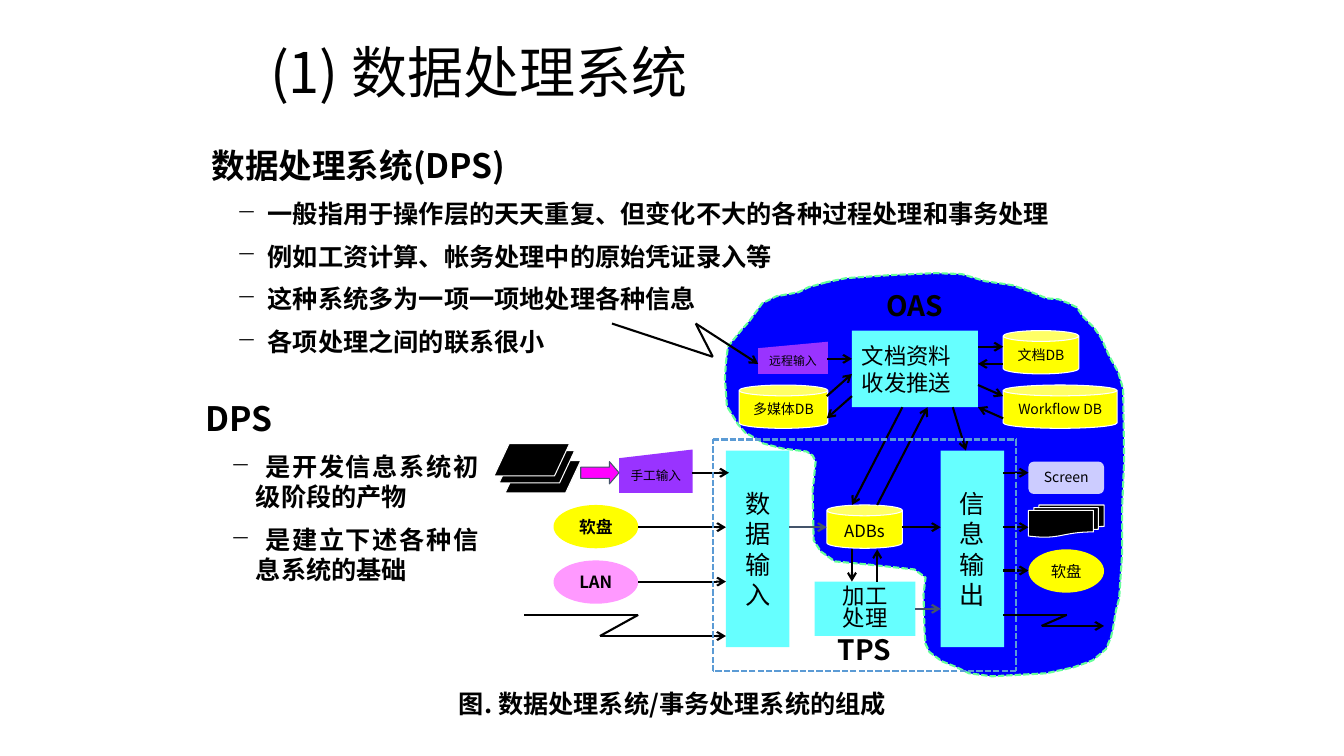
from lxml import etree
from pptx import Presentation
from pptx.dml.color import RGBColor
from pptx.enum.dml import MSO_LINE
from pptx.enum.shapes import MSO_CONNECTOR, MSO_SHAPE as SHAPE
from pptx.enum.text import MSO_ANCHOR as ANCHOR, PP_ALIGN as ALIGN
from pptx.oxml.ns import qn
from pptx.util import Cm, Pt

COLORS = {
    "black": "000000", "white": "FFFFFF", "blue": "0000FF", "mint": "66FF99",
    "cyan": "66FFFF", "yellow": "FFFF00", "pink": "FF99FF", "magenta": "FF00FF",
    "purple": "9933FF", "lavender": "CCCCFF", "slate": "44546A", "steel": "5B9BD5",
}
OAS_OUTLINE = [
    (8.2, 2.8), (8.02, 2.85), (7.92, 2.9), (7.7, 2.94), (7.56, 3.01), (7.43, 3.19),
    (7.35, 3.28), (7.22, 3.44), (7.2, 3.6), (7.19, 3.76), (7.21, 4.03), (7.32, 4.21),
    (7.39, 4.29), (7.53, 4.37), (7.57, 4.4), (7.76, 4.45), (8, 4.48), (8.06, 4.52),
    (8.09, 4.58), (8.07, 4.78), (8.06, 4.86), (8.07, 5.36), (8.14, 5.47), (8.28, 5.57),
    (8.6, 5.6), (9.07, 5.65), (9.18, 5.73), (9.16, 5.9), (9.17, 6.25), (9.18, 6.39),
    (9.22, 6.47), (9.34, 6.56), (9.49, 6.62), (9.61, 6.68), (9.84, 6.71), (10.38, 6.68),
    (10.65, 6.62), (10.79, 6.57), (10.84, 6.55), (10.97, 6.44), (11.02, 6.32),
    (11.04, 6.23), (11.07, 6.05), (11.1, 5.94), (11.13, 5.49), (11.13, 5.03),
    (11.15, 4.57), (11.14, 3.86), (11.09, 3.69), (11, 3.53), (10.92, 3.35),
    (10.85, 3.25), (10.74, 3.14), (10.68, 3.05), (10.6, 3.01), (10.5, 2.97),
    (10.38, 2.96), (10.21, 2.89), (10.04, 2.83), (9.77, 2.79), (9.54, 2.72),
    (9.28, 2.71), (8.83, 2.73), (8.39, 2.76),
]


def inch(value):
    return Cm(value * 2.54)


class SlideBuilder:
    font_name = "Noto Sans CJK SC"

    def __init__(self, slide):
        self.slide = slide

    def color(self, name):
        return RGBColor.from_string(COLORS[name])

    def style(self, shape, fill, line=None, width=0.75):
        shape.shadow.inherit = False
        shape.fill.solid()
        shape.fill.fore_color.rgb = self.color(fill)
        if line:
            shape.line.color.rgb = self.color(line)
            shape.line.width = Pt(width)
        else:
            shape.line.fill.background()

    def add_run(self, paragraph, text, size, bold=False, align=ALIGN.CENTER):
        paragraph.alignment = align
        run = paragraph.add_run()
        run.text = text
        font = run.font
        font.size, font.bold, font.name = Pt(size), bold, self.font_name
        font.color.rgb = self.color("black")
        east_asian = etree.SubElement(font._element, qn("a:ea"))
        east_asian.set("typeface", self.font_name)

    def fill_frame(self, shape, lines, size, bold=False, align=ALIGN.CENTER,
                   anchor=ANCHOR.TOP, spacing=None):
        frame = shape.text_frame
        frame.word_wrap = True
        frame.vertical_anchor = anchor
        for index, line in enumerate(lines):
            paragraph = frame.add_paragraph() if index else frame.paragraphs[0]
            if spacing:
                paragraph.line_spacing = spacing
            self.add_run(paragraph, line, size, bold, align)

    def box(self, kind, bounds, fill, lines=(), size=12, line=None, **text_style):
        shape = self.slide.shapes.add_shape(kind, *map(inch, bounds))
        self.style(shape, fill, line)
        if lines:
            self.fill_frame(shape, lines, size, **text_style)
        return shape

    def text(self, bounds, line, size, **text_style):
        shape = self.slide.shapes.add_textbox(*map(inch, bounds))
        self.fill_frame(shape, [line], size, **text_style)
        return shape

    def bullets(self, bounds, heading, items):
        """Bold heading followed by dash-bulleted second-level items."""
        shape = self.text(bounds, heading, 24, bold=True, align=ALIGN.JUSTIFY)
        for item in items:
            paragraph = shape.text_frame.add_paragraph()
            paragraph.level = 1
            paragraph.space_before = Pt(9)
            properties = paragraph._p.get_or_add_pPr()
            properties.set("marL", str(inch(0.5)))
            properties.set("indent", str(inch(-0.25)))
            etree.SubElement(properties, qn("a:buChar")).set("char", "─")
            self.add_run(paragraph, " " + item, 18, True, ALIGN.JUSTIFY)

    def line(self, start, end, color="black", arrow=False, dashed=False):
        connector = self.slide.shapes.add_connector(
            MSO_CONNECTOR.STRAIGHT, *map(inch, (*start, *end)))
        connector.line.color.rgb = self.color(color)
        connector.line.width = Pt(1.5)
        if dashed:
            connector.line.dash_style = MSO_LINE.SQUARE_DOT
        if arrow:
            outline = connector._element.spPr.find(qn("a:ln"))
            etree.SubElement(outline, qn("a:tailEnd")).set("type", "arrow")
        etree.SubElement(connector._element.spPr, qn("a:effectLst"))
        return connector

    def polyline(self, points, arrow=True, **line_style):
        last = len(points) - 2
        for index, (start, end) in enumerate(zip(points, points[1:])):
            self.line(start, end, arrow=arrow and index == last, **line_style)

    def region(self, points, fill, line):
        outline = [(inch(x), inch(y)) for x, y in points]
        builder = self.slide.shapes.build_freeform(*outline[0])
        builder.add_line_segments(outline[1:], close=True)
        shape = builder.convert_to_shape()
        self.style(shape, fill, line, 1.5)
        shape.line.dash_style = MSO_LINE.SQUARE_DOT


def draw_inputs(page):
    for x, y in ((5.01, 4.57), (4.95, 4.47), (4.9, 4.4)):
        page.box(SHAPE.FLOWCHART_DATA, (x, y, 0.75, 0.32), "black", line="white")
    page.box(SHAPE.FLOWCHART_MANUAL_INPUT, (6.14, 4.46, 0.73, 0.43), "purple",
             ["手工输入"], 9, anchor=ANCHOR.MIDDLE)
    arrow = page.box(SHAPE.RIGHT_ARROW, (5.76, 4.58, 0.38, 0.22), "magenta", line="slate")
    arrow.adjustments[1] = 0.43
    for y, fill, label in ((5.01, "yellow", "软盘"), (5.56, "pink", "LAN")):
        page.box(SHAPE.OVAL, (5.49, y, 0.84, 0.43), fill, [label], 12, bold=True)
    page.box(SHAPE.FLOWCHART_MANUAL_INPUT, (7.52, 3.39, 0.69, 0.32), "purple",
             ["远程输入"], 8.5)


def draw_stores_and_outputs(page):
    for bounds, label, size in (
            ((8.2, 5.01, 0.75, 0.43), "ADBs", 12),
            ((9.95, 3.28, 0.75, 0.43), "文档DB", 10),
            ((9.95, 3.82, 1.13, 0.43), "Workflow DB", 10),
            ((7.33, 3.82, 0.88, 0.43), "多媒体DB", 10)):
        page.box(SHAPE.CAN, bounds, "yellow", [label], size, line="white")
    page.box(SHAPE.ROUNDED_RECTANGLE, (10.2, 4.58, 0.75, 0.32), "lavender", ["Screen"], 10)
    page.box(SHAPE.FLOWCHART_MULTIDOCUMENT, (10.2, 5.01, 0.75, 0.32), "black", line="white")
    page.box(SHAPE.OVAL, (10.2, 5.45, 0.75, 0.43), "yellow", ["软盘"], 11,
             anchor=ANCHOR.MIDDLE)


def draw_processes(page):
    for x, label in ((7.2, "数据输入"), (9.33, "信息输出")):
        page.box(SHAPE.RECTANGLE, (x, 4.47, 0.63, 1.95), "cyan", list(label), 18,
                 anchor=ANCHOR.MIDDLE)
    page.box(SHAPE.RECTANGLE, (8.45, 3.28, 1.25, 0.76), "cyan", ["文档资料", "收发推送"],
             16, align=ALIGN.JUSTIFY, anchor=ANCHOR.MIDDLE)
    processing = page.box(SHAPE.RECTANGLE, (8.08, 5.77, 1, 0.54), "cyan", ["加工", "处理"],
                          16, anchor=ANCHOR.MIDDLE, spacing=Pt(16))
    page.line((9.08, 6.04), (9.33, 6.04), "slate", arrow=True).begin_connect(processing, 3)


def draw_flows(page):
    for start, end in (
            ((6.86, 4.69), (7.23, 4.69)), ((6.33, 5.23), (7.2, 5.23)),
            ((6.33, 5.77), (7.2, 5.77)), ((8.95, 5.23), (9.33, 5.23)),
            ((8.45, 5.45), (8.45, 5.77)), ((8.7, 5.77), (8.7, 5.45)),
            ((8.2, 3.56), (8.45, 3.56)), ((8.95, 4.04), (8.45, 5.01)),
            ((8.7, 5.01), (9.2, 4.04)), ((9.7, 3.44), (9.95, 3.44)),
            ((9.95, 3.61), (9.7, 3.61)), ((9.7, 3.82), (9.95, 3.93)),
            ((9.95, 4.15), (9.7, 4.04)), ((9.45, 4.04), (9.58, 4.47)),
            ((8.2, 3.93), (8.45, 3.71)), ((8.45, 3.93), (8.2, 4.15)),
            *(((9.95, y), (10.2, y)) for y in (4.69, 5.23, 5.66))):
        page.line(start, end, arrow=True)
    page.line((7.83, 5.23), (8.2, 5.23), "slate", arrow=True)
    page.polyline([(5.2, 6.1), (6.33, 6.1), (5.95, 6.31), (7.2, 6.31)])
    page.polyline([(9.95, 6.1), (10.58, 6.1), (10.33, 6.21), (10.95, 6.21)])
    page.polyline([(6.07, 3.21), (7.07, 3.54), (6.9, 3.21), (7.52, 3.61)])
    page.polyline([(7.07, 4.36), (10.08, 4.36), (10.08, 6.66), (7.07, 6.66), (7.07, 4.36)],
                  arrow=False, color="steel", dashed=True)


def main():
    presentation = Presentation()
    presentation.slide_width, presentation.slide_height = inch(13.33), inch(7.5)
    page = SlideBuilder(presentation.slides.add_slide(presentation.slide_layouts[6]))
    page.text((2.58, 0.25, 7.75, 1), "(1) 数据处理系统", 40, align=ALIGN.LEFT,
              anchor=ANCHOR.MIDDLE, spacing=0.9)
    page.bullets((2, 1.39, 9.33, 2.32), "数据处理系统(DPS)", [
        "一般指用于操作层的天天重复、但变化不大的各种过程处理和事务处理",
        "例如工资计算、帐务处理中的原始凭证录入等",
        "这种系统多为一项一项地处理各种信息",
        "各项处理之间的联系很小"])
    page.region(OAS_OUTLINE, "blue", "mint")
    draw_inputs(page)
    draw_stores_and_outputs(page)
    draw_processes(page)
    draw_flows(page)
    for x, y, label in ((8.08, 6.23, "TPS"), (8.58, 2.81, "OAS")):
        page.text((x, y, 0.99, 0.43), label, 20, bold=True)
    page.text((1.67, 6.78, 10, 0.4), "图. 数据处理系统/事务处理系统的组成", 18, bold=True)
    page.bullets((1.94, 3.9, 2.91, 2.02), "DPS", [
        "是开发信息系统初级阶段的产物", "是建立下述各种信息系统的基础"])
    presentation.save("out.pptx")


if __name__ == "__main__":
    main()
